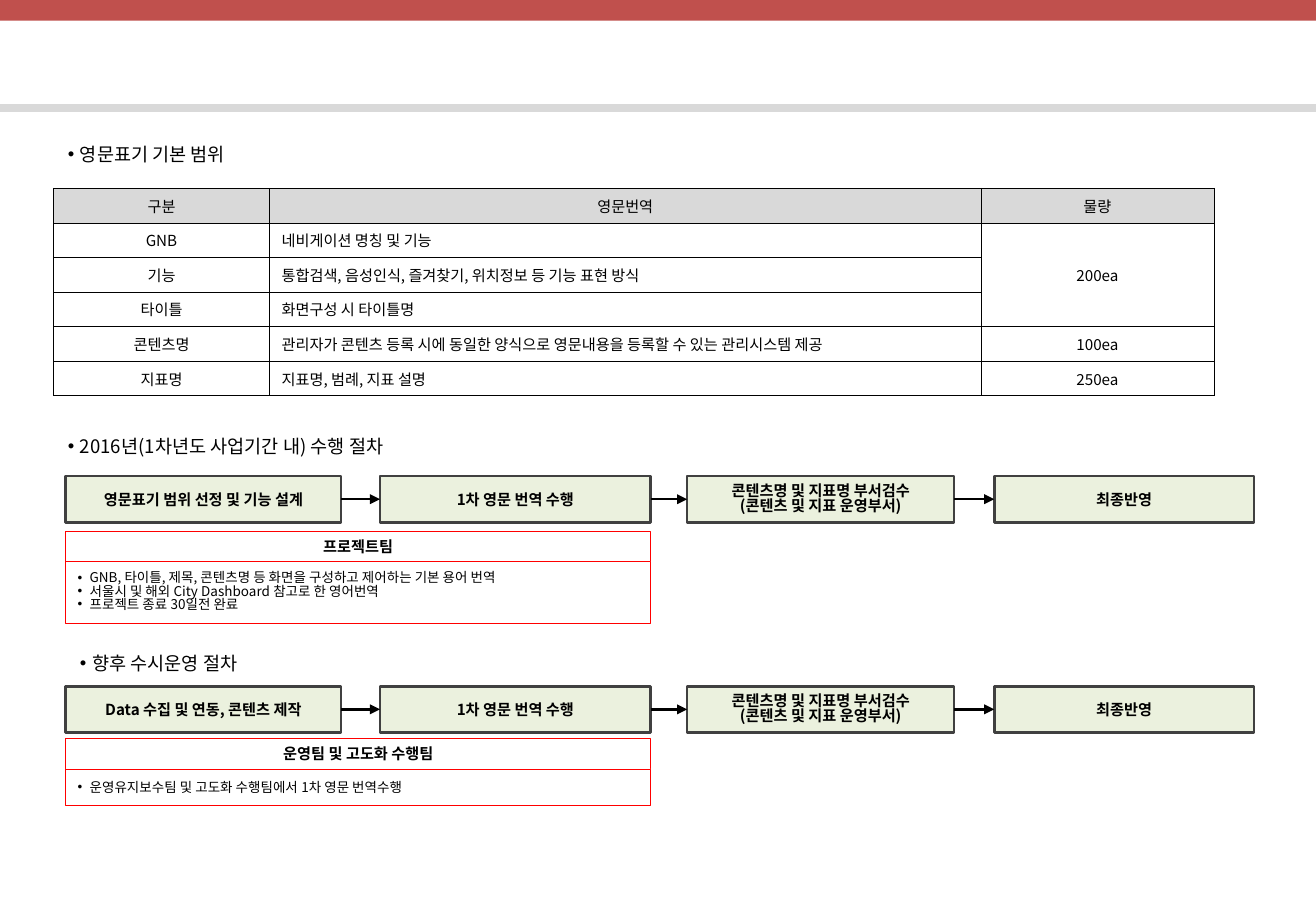
from pptx import Presentation
from pptx.dml.color import RGBColor
from pptx.enum.shapes import MSO_CONNECTOR, MSO_SHAPE
from pptx.enum.text import MSO_ANCHOR, MSO_AUTO_SIZE, PP_ALIGN
from pptx.oxml import parse_xml
from pptx.oxml.ns import nsdecls, qn
from pptx.util import Inches, Pt
from lxml.etree import SubElement

FONT = "Noto Sans CJK KR"
BLACK = RGBColor(0x00, 0x00, 0x00)
WHITE = RGBColor(0xFF, 0xFF, 0xFF)
CRIMSON = RGBColor(0xC0, 0x50, 0x4D)
GRAY = RGBColor(0xD9, 0xD9, 0xD9)
CHARCOAL = RGBColor(0x40, 0x40, 0x40)
PALE_GREEN = RGBColor(0xEB, 0xF1, 0xDE)
RED = RGBColor(0xFF, 0x00, 0x00)

SCOPE_ROWS = [
    ("구분", "영문번역", "물량"),
    ("GNB", "네비게이션 명칭 및 기능", "200ea"),
    ("기능", "통합검색, 음성인식, 즐겨찾기, 위치정보 등 기능 표현 방식", ""),
    ("타이틀", "화면구성 시 타이틀명", ""),
    ("콘텐츠명", "관리자가 콘텐츠 등록 시에 동일한 양식으로 영문내용을 등록할 수 있는 관리시스템 제공", "100ea"),
    ("지표명", "지표명, 범례, 지표 설명", "250ea"),
]
SCOPE_WIDTHS = (1.78, 5.86, 1.92)

STEP_SPANS = [(0.54, 2.27), (3.13, 2.23), (5.66, 2.2), (8.19, 2.14)]
LATER_STEPS = [
    "1차 영문 번역 수행",
    "콘텐츠명 및 지표명 부서검수\n(콘텐츠 및 지표 운영부서)",
    "최종반영",
]
PROJECT_TASKS = [
    "GNB, 타이틀, 제목, 콘텐츠명 등 화면을 구성하고 제어하는 기본 용어 번역",
    "서울시 및 해외 City Dashboard 참고로 한 영어번역",
    "프로젝트 종료 30일전 완료",
]
OPERATION_TASKS = ["운영유지보수팀 및 고도화 수행팀에서 1차 영문 번역수행"]


def add_bullet(paragraph):
    properties = paragraph._p.get_or_add_pPr()
    properties.set("marL", str(Inches(0.1)))
    properties.set("indent", str(-Inches(0.1)))
    SubElement(properties, qn("a:buFont"), typeface="Arial")
    SubElement(properties, qn("a:buChar"), char="•")


def write(frame, text, size, bold=False, align=PP_ALIGN.LEFT, bullet=False):
    frame.text = text
    for paragraph in frame.paragraphs:
        paragraph.alignment = align
        if len(frame.paragraphs) > 1:
            paragraph.line_spacing = 0.83
        if bullet:
            add_bullet(paragraph)
        for run in paragraph.runs:
            run.font.size = Pt(size)
            run.font.bold = bold
            run.font.name = FONT
            run.font.color.rgb = BLACK
            SubElement(run.font._element, qn("a:ea"), typeface=FONT)


def add_box(shapes, left, top, width, height, fill, outline=None, weight=0.25):
    box = shapes.add_shape(
        MSO_SHAPE.RECTANGLE, Inches(left), Inches(top), Inches(width), Inches(height)
    )
    box.shadow.inherit = False
    box.fill.solid()
    box.fill.fore_color.rgb = fill
    if outline is None:
        box.line.fill.background()
    else:
        box.line.color.rgb = outline
        box.line.width = Pt(weight)
    box.text_frame.word_wrap = True
    box.text_frame.vertical_anchor = MSO_ANCHOR.MIDDLE
    return box


def add_line(shapes, start, end, color, weight):
    line = shapes.add_connector(
        MSO_CONNECTOR.STRAIGHT, *(Inches(value) for value in (*start, *end))
    )
    line.line.color.rgb = color
    line.line.width = Pt(weight)
    SubElement(line._element.spPr, qn("a:effectLst"))
    return line


def add_arrow(shapes, source, target):
    arrow = add_line(shapes, (0, 0), (1, 0), BLACK, 1.5)
    arrow.begin_connect(source, 3)
    arrow.end_connect(target, 1)
    SubElement(arrow.line._get_or_add_ln(), qn("a:tailEnd"), type="triangle")


def add_heading(shapes, left, top, width, text):
    heading = shapes.add_textbox(Inches(left), Inches(top), Inches(width), Inches(0.29))
    heading.text_frame.word_wrap = False
    heading.text_frame.auto_size = MSO_AUTO_SIZE.SHAPE_TO_FIT_TEXT
    write(heading.text_frame, text, 11, bullet=True)


def set_borders(cell):
    properties = cell._tc.get_or_add_tcPr()
    for position, side in enumerate(("lnL", "lnR", "lnT", "lnB")):
        border = parse_xml(
            f'<a:{side} {nsdecls("a")} w="{Pt(0.45)}"><a:solidFill>'
            f'<a:srgbClr val="{BLACK}"/></a:solidFill></a:{side}>'
        )
        properties.insert(position, border)


def add_scope_table(shapes):
    table = shapes.add_table(
        len(SCOPE_ROWS), len(SCOPE_WIDTHS),
        Inches(0.44), Inches(1.55), Inches(9.56), Inches(1.71),
    ).table
    for column, width in zip(table.columns, SCOPE_WIDTHS):
        column.width = Inches(width)
    for row, texts in enumerate(SCOPE_ROWS):
        for column, text in enumerate(texts):
            cell = table.cell(row, column)
            cell.fill.solid()
            cell.fill.fore_color.rgb = WHITE if row else GRAY
            cell.vertical_anchor = MSO_ANCHOR.MIDDLE
            set_borders(cell)
            align = PP_ALIGN.LEFT if row and column == 1 else PP_ALIGN.CENTER
            write(cell.text_frame, text, 9, align=align)
    table.cell(1, 2).merge(table.cell(3, 2))


def add_process(shapes, top, first_step):
    steps = []
    for (left, width), text in zip(STEP_SPANS, [first_step, *LATER_STEPS]):
        step = add_box(shapes, left, top, width, 0.38, PALE_GREEN, CHARCOAL, 1.5)
        write(step.text_frame, text, 9, bold=True, align=PP_ALIGN.CENTER)
        steps.append(step)
    for source, target in zip(steps, steps[1:]):
        add_arrow(shapes, source, target)


def add_team(shapes, top, team, tasks, tasks_height):
    members = shapes.add_group_shape().shapes
    title = add_box(members, 0.54, top, 4.82, 0.25, WHITE, RED)
    write(title.text_frame, team, 9, bold=True, align=PP_ALIGN.CENTER)
    duties = add_box(members, 0.54, top + 0.25, 4.82, tasks_height, WHITE, RED)
    write(duties.text_frame, "\n".join(tasks), 8, bullet=True)


def main():
    presentation = Presentation()
    presentation.slide_width = Inches(10.84)
    presentation.slide_height = Inches(7.5)
    slide = presentation.slides.add_slide(presentation.slide_layouts[6])
    shapes = slide.shapes

    add_box(shapes, 0, 0, 10.84, 0.17, CRIMSON)
    add_line(shapes, (0, 0.89), (10.84, 0.89), GRAY, 4.5)

    add_heading(shapes, 0.46, 1.13, 1.51, "영문표기 기본 범위")
    add_scope_table(shapes)

    add_heading(shapes, 0.46, 3.53, 3.02, "2016년(1차년도 사업기간 내) 수행 절차")
    add_process(shapes, 3.92, "영문표기 범위 선정 및 기능 설계")
    add_team(shapes, 4.37, "프로젝트팀", PROJECT_TASKS, 0.51)

    add_heading(shapes, 0.56, 5.32, 1.51, "향후 수시운영 절차")
    add_process(shapes, 5.65, "Data 수집 및 연동, 콘텐츠 제작")
    add_team(shapes, 6.08, "운영팀 및 고도화 수행팀", OPERATION_TASKS, 0.3)

    presentation.save("out.pptx")


if __name__ == "__main__":
    main()
